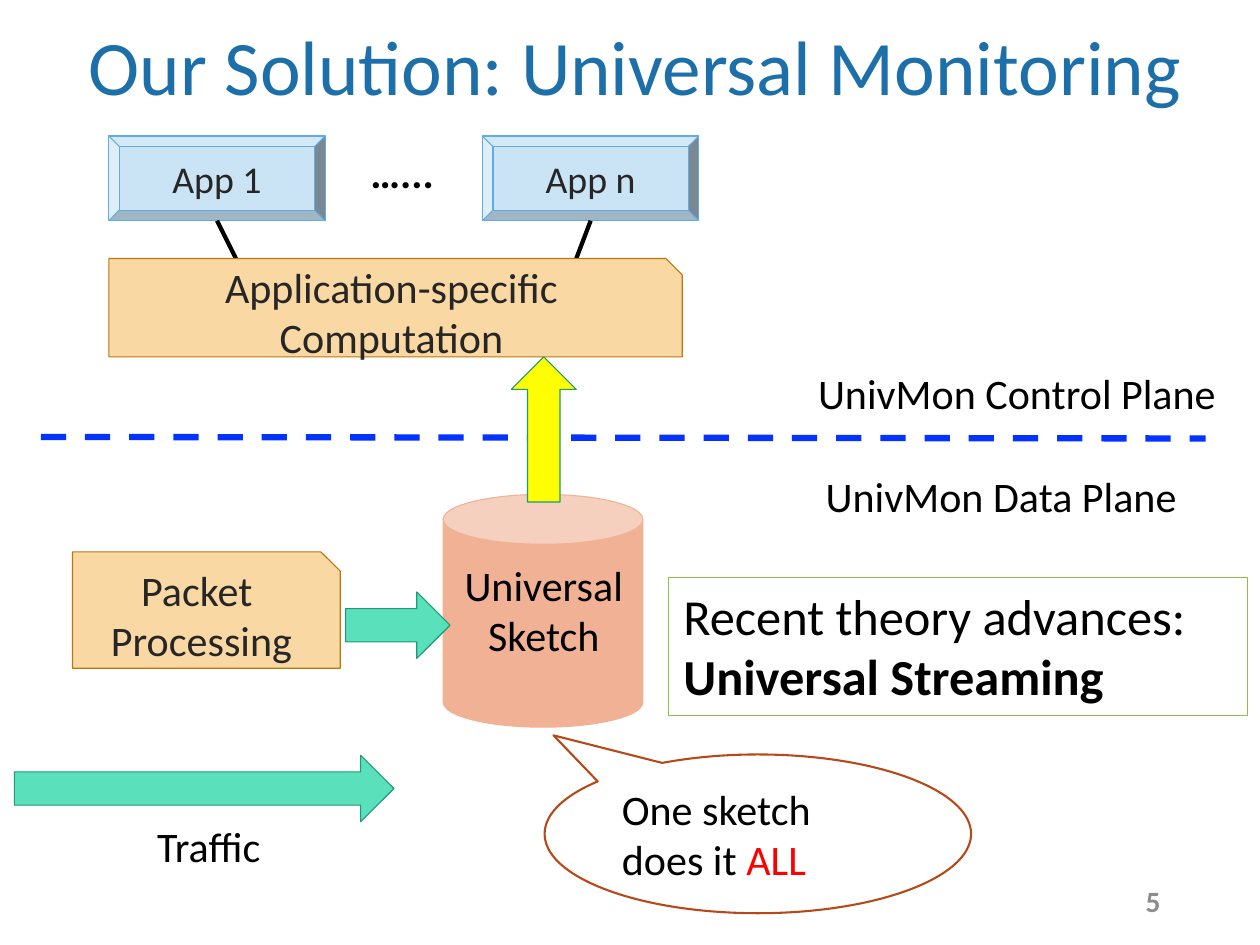
from lxml import etree
from pptx import Presentation
from pptx import util as u
from pptx.dml.color import RGBColor
from pptx.enum import dml, shapes, text
from pptx.oxml.ns import qn

SHAPE = shapes.MSO_SHAPE
ALIGN = text.PP_ALIGN
ANCHOR = text.MSO_ANCHOR
INK, DARK = "000000", "262626"
ORANGE, ORANGE_EDGE = "F9D8A3", "BC770B"
GREEN, GREEN_EDGE = "5AE0BB", "1D9A78"


def color(value):
    return RGBColor.from_string(value)


def write(item, lines, size=20, ink=INK, bold=False, align=ALIGN.LEFT,
          anchor=ANCHOR.TOP, wrap=True):
    frame = item.text_frame
    frame.word_wrap = wrap
    frame.vertical_anchor = anchor
    for index, line in enumerate(lines):
        para = frame.paragraphs[0] if index == 0 else frame.add_paragraph()
        para.alignment = align
        para.font.name = "Calibri"
        para.font.size = u.Pt(size)
        para.font.bold = bold
        para.font.color.rgb = color(ink)
        para.add_run().text = line
    return frame.paragraphs[0]


def label(page, box, lines, **style):
    item = page.shapes.add_textbox(*map(u.Inches, box))
    return write(item, lines, **style)


def block(page, kind, box, fill, edge, width=0.5):
    item = page.shapes.add_shape(kind, *map(u.Inches, box))
    item.shadow.inherit = False
    if fill:
        item.fill.solid()
        item.fill.fore_color.rgb = color(fill)
    else:
        item.fill.background()
    item.line.color.rgb = color(edge)
    item.line.width = u.Pt(width)
    return item


def centered_block(page, kind, box, fill, edge, lines, size=20):
    item = block(page, kind, box, fill, edge)
    write(item, lines, size, DARK, align=ALIGN.CENTER, anchor=ANCHOR.MIDDLE)


def arrow(page, box, rotation, fill=GREEN):
    item = block(page, SHAPE.DOWN_ARROW, box, fill, GREEN_EDGE)
    item.rotation = rotation


def line(page, start, end, ink, width, dash=None):
    item = page.shapes.add_connector(
        shapes.MSO_CONNECTOR.STRAIGHT, *map(u.Inches, (*start, *end)))
    item.line.color.rgb = color(ink)
    item.line.width = u.Pt(width)
    if dash:
        item.line.dash_style = dash
    etree.SubElement(item._element.spPr, qn("a:effectLst"))


def heading(page, box):
    para = label(page, box, ["Our Solution: Universal Monitoring"], size=36.7,
                 ink="1D6FA9", align=ALIGN.CENTER, anchor=ANCHOR.MIDDLE)
    para.line_spacing = 0.9


def control_plane(page, left, top):
    app_width, app_height, computation_top = 1.43, 0.56, 0.81
    apps = (("App 1", 0, 0.84), ("App n", 2.47, 3.09))
    for name, offset, joint in apps:
        centered_block(page, SHAPE.BEVEL,
                       (left + offset, top, app_width, app_height),
                       "CAE4F6", "5FADE4", [name], size=18)
        line(page, (left + offset + app_width / 2, top + app_height),
             (left + joint, top + computation_top), INK, 2)
    label(page, (left + 1.63, top + 0.02, 0.63, 0.44), ["…..."],
          bold=True, wrap=False)
    centered_block(page, SHAPE.SNIP_1_RECTANGLE,
                   (left, top + computation_top, 3.79, 0.65),
                   ORANGE, ORANGE_EDGE, ["Application-specific Computation"])
    label(page, (left + 4.59, top + 1.48, 2.86, 0.44),
          ["UnivMon Control Plane"], wrap=False)


def data_plane(page, left, top):
    label(page, (left + 4.88, top, 2.55, 0.44), ["UnivMon Data Plane"],
          wrap=False)
    centered_block(page, SHAPE.SNIP_1_RECTANGLE,
                   (left, top + 0.59, 1.77, 0.77),
                   ORANGE, ORANGE_EDGE, ["Packet ", "Processing"])
    block(page, SHAPE.CAN, (left + 2.45, top + 0.21, 1.32, 1.54),
          "F0B195", "F0B195")
    label(page, (left + 2.37, top + 0.59, 1.49, 0.77),
          ["Universal", "Sketch"], align=ALIGN.CENTER)
    arrow(page, (left + 1.93, top + 0.73, 0.44, 0.69), 270)
    arrow(page, (left + 0.65, top + 0.9, 0.44, 2.51), 270)
    label(page, (left + 0.46, top + 2.32, 0.9, 0.44), ["Traffic"], wrap=False)


def remarks(page, left, top):
    theory = block(page, SHAPE.RECTANGLE, (left + 0.82, top, 3.83, 0.91),
                   None, "8BC145")
    para = write(theory, ["Recent theory advances: "], size=24)
    name = para.add_run()
    name.text = "Universal Streaming"
    name.font.bold = True

    callout = block(page, SHAPE.OVAL_CALLOUT, (left, top + 1.17, 2.82, 1.05),
                    "FFFFFF", "B74919", 1)
    callout.adjustments[0] = -0.479
    callout.adjustments[1] = -0.621
    para = write(callout, ["One sketch does it "], anchor=ANCHOR.MIDDLE)
    stress = para.add_run()
    stress.text = "ALL"
    stress.font.color.rgb = color("FF0000")


def main():
    deck = Presentation()
    deck.slide_width = u.Inches(8.33)
    deck.slide_height = u.Inches(6.25)
    page = deck.slides.add_slide(deck.slide_layouts[6])
    heading(page, (0.47, -0.14, 7.46, 1.21))
    line(page, (0.27, 2.89), (7.97, 2.9), "0432FF", 3,
         dml.MSO_LINE.DASH)
    control_plane(page, 0.72, 0.9)
    data_plane(page, 0.48, 3.06)
    remarks(page, 3.6, 3.82)
    arrow(page, (3.38, 2.36, 0.43, 0.96), 180, "FFFF00")
    label(page, (5.89, 5.79, 1.88, 0.33), ["5"], size=14, ink="8C8C8C",
          bold=True, align=ALIGN.RIGHT, anchor=ANCHOR.MIDDLE)
    deck.save("out.pptx")


if __name__ == "__main__":
    main()
